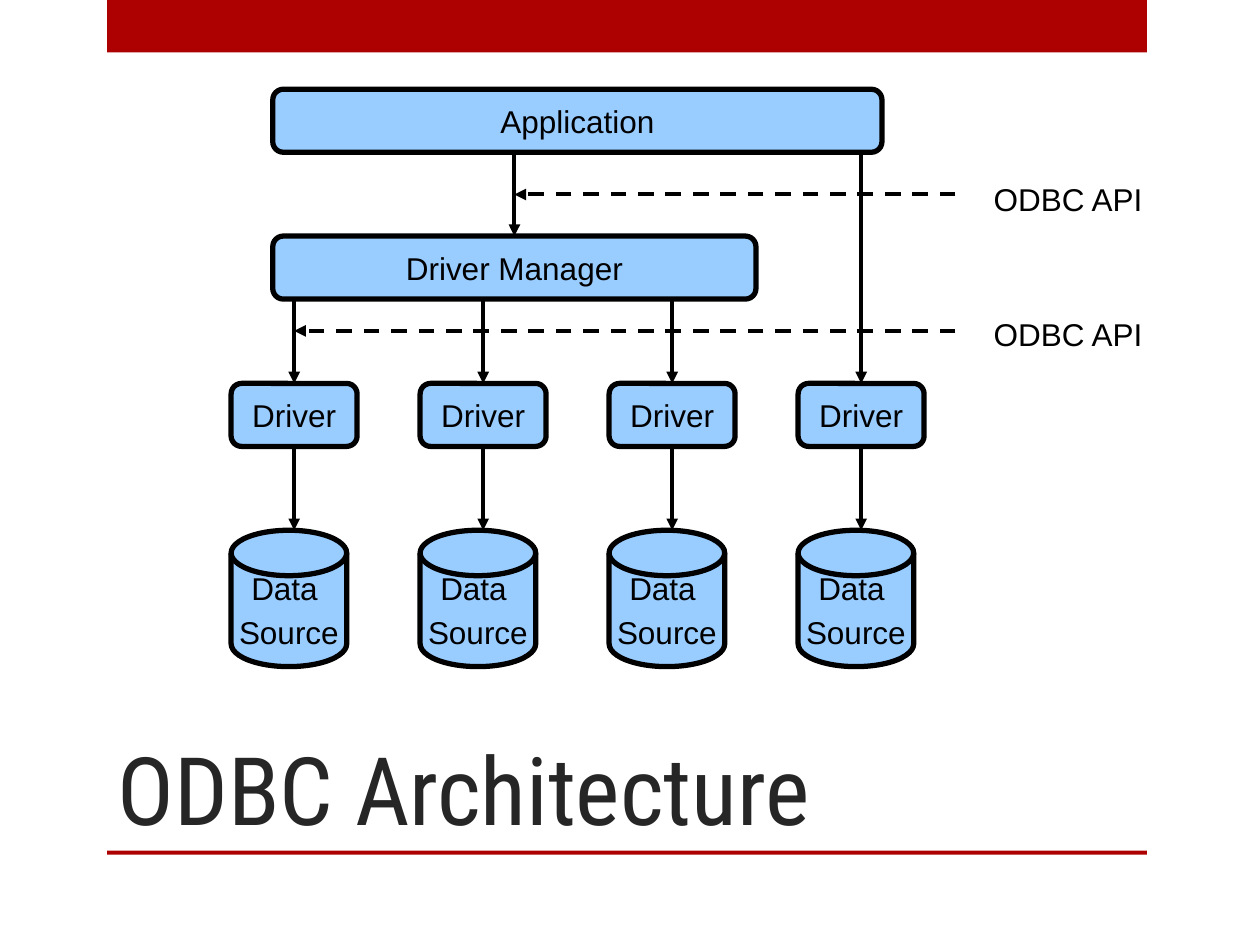
from dataclasses import dataclass
from typing import Any, Optional

import pptx
import pptx.dml.color
import pptx.enum.dml
import pptx.enum.shapes
import pptx.enum.text
import pptx.oxml.ns
import pptx.util
from lxml import etree

Cm = pptx.util.Cm
Pt = pptx.util.Pt
Shapes = pptx.enum.shapes.MSO_SHAPE
Align = pptx.enum.text.PP_ALIGN
Anchor = pptx.enum.text.MSO_ANCHOR
AutoSize = pptx.enum.text.MSO_AUTO_SIZE

RED = pptx.dml.color.RGBColor(0xAD, 0x01, 0x01)
BLUE = pptx.dml.color.RGBColor(0x99, 0xCC, 0xFF)
BLACK = pptx.dml.color.RGBColor(0, 0, 0)
CHARCOAL = pptx.dml.color.RGBColor(0x26, 0x26, 0x26)

TITLE_FONT = {"name": "Roboto Condensed", "size": Pt(54)}
BODY_FONT = {"name": "Arial", "size": Pt(18)}
NODE_FRAME = {"word_wrap": False, "vertical_anchor": Anchor.MIDDLE}
NODE_PARA = {"alignment": Align.CENTER, "space_before": Pt(3.6)}

TOP, BOTTOM = 0, 2
COLUMN_COUNT = 4
FIRST_LEFT, COLUMN_STEP = 4.66, 3.81
BOX_HEIGHT = 1.27
DRIVER_WIDTH, DRIVER_TOP = 2.54, 7.73
DISK_WIDTH, DISK_HEIGHT, DISK_TOP = 2.33, 2.75, 10.69


@dataclass
class Node:
    text: str
    left: float
    top: float
    width: float
    height: float = BOX_HEIGHT
    kind: Any = Shapes.FLOWCHART_ALTERNATE_PROCESS

    @property
    def center(self) -> float:
        return self.left + self.width / 2

    @property
    def bottom(self) -> float:
        return self.top + self.height


@dataclass
class Arrow:
    x1: float
    y1: float
    x2: float
    y2: float
    source: Optional[Any] = None
    target: Optional[Any] = None
    dashed: bool = False


@dataclass
class ApiCall:
    label_top: float
    arrow_y: float
    arrow_end: float


def apply_format(item: Any, values: dict) -> None:
    for name, value in values.items():
        setattr(item, name, value)


def write_text(frame: Any, text: str, para_format: dict, font: dict, color: Any) -> None:
    for index, line in enumerate(text.split("\n")):
        para = frame.paragraphs[0] if index == 0 else frame.add_paragraph()
        apply_format(para, para_format)
        span = para.add_run()
        span.text = line
        apply_format(span.font, font)
        span.font.color.rgb = color


def draw_band(page: Any, top: float, height: float) -> None:
    band = page.shapes.add_shape(Shapes.RECTANGLE, Cm(2.16), Cm(top), Cm(20.96), Cm(height))
    band.shadow.inherit = False
    band.fill.solid()
    band.fill.fore_color.rgb = RED
    band.line.fill.background()


def draw_node(page: Any, node: Node) -> Any:
    box = page.shapes.add_shape(
        node.kind, Cm(node.left), Cm(node.top), Cm(node.width), Cm(node.height))
    box.shadow.inherit = False
    box.fill.solid()
    box.fill.fore_color.rgb = BLUE
    box.line.color.rgb = BLACK
    box.line.width = Pt(3)
    apply_format(box.text_frame, NODE_FRAME)
    write_text(box.text_frame, node.text, NODE_PARA, BODY_FONT, BLACK)
    return box


def draw_arrow(page: Any, arrow: Arrow) -> None:
    line = page.shapes.add_connector(
        pptx.enum.shapes.MSO_CONNECTOR.STRAIGHT,
        Cm(arrow.x1), Cm(arrow.y1), Cm(arrow.x2), Cm(arrow.y2))
    if arrow.source is not None:
        line.begin_connect(arrow.source, BOTTOM)
    if arrow.target is not None:
        line.end_connect(arrow.target, TOP)
    line.line.color.rgb = BLACK
    line.line.width = Pt(2.25)
    if arrow.dashed:
        line.line.dash_style = pptx.enum.dml.MSO_LINE.DASH
    qn = pptx.oxml.ns.qn
    properties = line.line._get_or_add_ln()
    etree.SubElement(properties, qn("a:tailEnd"), type="triangle")
    etree.SubElement(properties.getparent(), qn("a:effectLst"))


def draw_label(page: Any, top: float) -> None:
    box = page.shapes.add_textbox(Cm(18.2), Cm(top), Cm(5.5), Cm(0.87))
    frame_format = {"word_wrap": True, "margin_left": Cm(1.83)}
    apply_format(box.text_frame, frame_format)
    write_text(box.text_frame, "ODBC API", {"alignment": Align.LEFT}, BODY_FONT, BLACK)


def draw_title(page: Any) -> None:
    title = page.shapes.title
    place = {"left": Cm(2.12), "top": Cm(12.7), "width": Cm(18.85), "height": Cm(4.45)}
    apply_format(title, place)
    frame_format = {"vertical_anchor": Anchor.BOTTOM, "auto_size": AutoSize.NONE}
    apply_format(title.text_frame, frame_format)
    write_text(title.text_frame, "ODBC Architecture", {"alignment": Align.LEFT},
               TITLE_FONT, CHARCOAL)


def draw_architecture(page: Any) -> None:
    application = Node("Application", 5.5, 1.8, 12.28)
    manager = Node("Driver Manager", 5.5, 4.76, 9.74)
    draw_node(page, application)
    manager_box = draw_node(page, manager)
    draw_arrow(page, Arrow(manager.center, application.bottom,
                           manager.center, manager.top, target=manager_box))

    for column in range(COLUMN_COUNT):
        left = FIRST_LEFT + column * COLUMN_STEP
        driver = Node("Driver", left, DRIVER_TOP, DRIVER_WIDTH)
        disk = Node("Data \nSource", left, DISK_TOP, DISK_WIDTH, DISK_HEIGHT,
                    Shapes.FLOWCHART_MAGNETIC_DISK)
        driver_box = draw_node(page, driver)
        draw_node(page, disk)
        caller = application if column == COLUMN_COUNT - 1 else manager
        draw_arrow(page, Arrow(driver.center, caller.bottom,
                               driver.center, driver.top, target=driver_box))
        draw_arrow(page, Arrow(driver.center, driver.bottom,
                               driver.center, disk.top, source=driver_box))

    first_driver_center = FIRST_LEFT + DRIVER_WIDTH / 2
    for call in (ApiCall(3.5, 3.92, manager.center),
                 ApiCall(6.23, 6.67, first_driver_center)):
        draw_label(page, call.label_top)
        draw_arrow(page, Arrow(19.26, call.arrow_y, call.arrow_end, call.arrow_y, dashed=True))


def main() -> None:
    deck = pptx.Presentation()
    apply_format(deck, {"slide_width": Cm(25.4), "slide_height": Cm(19.05)})
    page = deck.slides.add_slide(deck.slide_layouts[5])
    draw_band(page, 0, 1.06)
    draw_band(page, 17.15, 0.08)
    draw_title(page)
    draw_architecture(page)
    deck.save("out.pptx")


if __name__ == "__main__":
    main()
